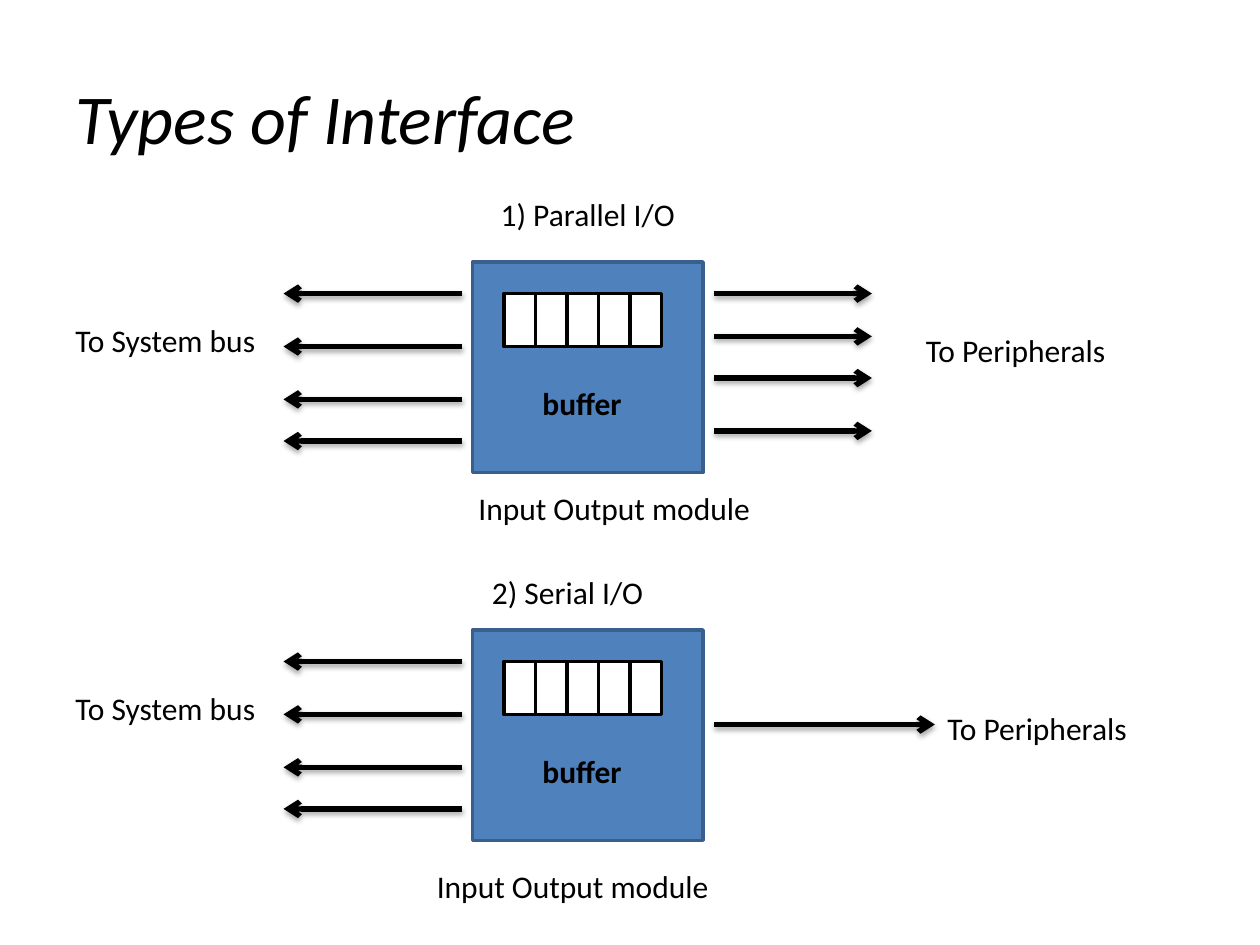
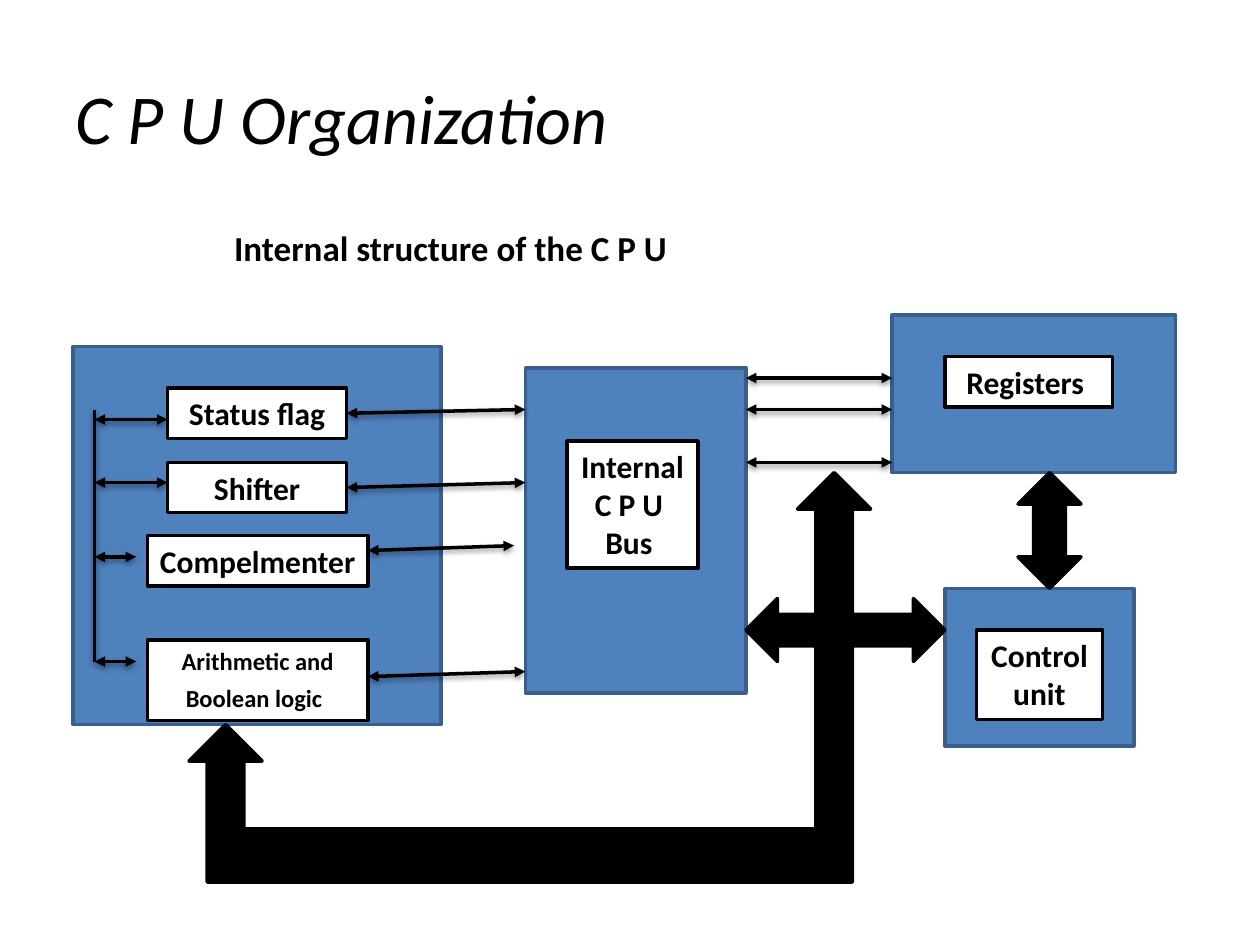
from lxml import etree
from pptx import Presentation
from pptx.dml.color import RGBColor
from pptx.enum.shapes import MSO_CONNECTOR, MSO_SHAPE
from pptx.enum.text import MSO_ANCHOR, PP_ALIGN
from pptx.oxml.ns import qn
from pptx.util import Inches, Pt

RECT = MSO_SHAPE.RECTANGLE
UP_ARROW = MSO_SHAPE.UP_ARROW
UP_DOWN_ARROW = MSO_SHAPE.UP_DOWN_ARROW
STRAIGHT = MSO_CONNECTOR.STRAIGHT
LEFT, CENTER = PP_ALIGN.LEFT, PP_ALIGN.CENTER
TOP, MIDDLE = MSO_ANCHOR.TOP, MSO_ANCHOR.MIDDLE
RIGHT_SIDE = 3

FONT = "Calibri"
BLACK, WHITE = "000000", "FFFFFF"
BLUE, BLUE_EDGE = "4F81BD", "3A5F8C"


def color(value):
    return RGBColor.from_string(value)


class Deck:
    def __init__(self):
        self.prs = Presentation()
        self.prs.slide_width = Inches(10)
        self.prs.slide_height = Inches(7.5)
        self.slide = None

    def new_slide(self, title):
        self.slide = self.prs.slides.add_slide(self.prs.slide_layouts[5])
        s = self.slide.shapes.title
        s.left, s.top = Inches(0.5), Inches(0.3)
        s.width, s.height = Inches(9), Inches(1.25)
        self.set_text(s, title, 40, align=LEFT, anchor=MIDDLE, italic=True)

    def set_text(self, s, text, size, align=LEFT, anchor=TOP, bold=False, italic=False):
        tf = s.text_frame
        tf.text = text
        tf.word_wrap = True
        tf.vertical_anchor = anchor
        for p in tf.paragraphs:
            p.alignment = align
            for r in p.runs:
                self.style(r, size, bold, italic)

    def style(self, r, size, bold=False, italic=False):
        r.font.name = FONT
        r.font.size = Pt(size)
        r.font.bold = bold
        r.font.italic = italic
        r.font.color.rgb = color(BLACK)

    def paint(self, s, fill, edge):
        s.fill.solid()
        s.fill.fore_color.rgb = color(fill)
        s.line.color.rgb = color(edge)
        s.line.width = Pt(2)

    def text(self, text, x, y, w, h=0.4, size=18, align=LEFT, bold=False):
        s = self.slide.shapes.add_textbox(Inches(x), Inches(y), Inches(w), Inches(h))
        self.set_text(s, text, size, align, bold=bold)
        return s

    def label(self, text, x, y, w, h=0.4, size=18):
        s = self.text(text, x, y, w, h, size, CENTER, True)
        self.paint(s, WHITE, BLACK)
        return s

    def shape(self, x, y, w, h, kind=RECT, fill=BLUE, edge=BLUE_EDGE, rotation=0):
        s = self.slide.shapes.add_shape(kind, Inches(x), Inches(y), Inches(w), Inches(h))
        s.shadow.inherit = False
        s.rotation = rotation
        self.paint(s, fill, edge)
        return s

    def line(self, x1, y1, x2, y2, width=2, head="triangle", tail="triangle", alpha=38):
        s = self.slide.shapes.add_connector(
            STRAIGHT, Inches(x1), Inches(y1), Inches(x2), Inches(y2))
        s.line.color.rgb = color(BLACK)
        s.line.width = Pt(width)
        ln = s.element.spPr.find(qn("a:ln"))
        for tag, end in (("a:headEnd", head), ("a:tailEnd", tail)):
            if end:
                etree.SubElement(ln, qn(tag), type=end)
        effects = etree.SubElement(s.element.spPr, qn("a:effectLst"))
        shadow = etree.SubElement(effects, qn("a:outerShdw"), blurRad=str(Pt(3.1)),
                                  dist=str(Pt(1.7)), dir="5400000", rotWithShape="0")
        shade = etree.SubElement(shadow, qn("a:srgbClr"), val=BLACK)
        etree.SubElement(shade, qn("a:alpha"), val=str(alpha * 1000))
        return s

    def signal(self, x1, x2, y):
        self.line(x1, y, x2, y, width=3, head=None, tail="arrow", alpha=35)


def io_module(deck, top):
    deck.shape(3.75, top, 1.83, 1.67)
    for offset in (0.25, 0.67, 1.09, 1.42):
        deck.signal(3.67, 2.25, top + offset)
    for i in range(5):
        deck.shape(4 + 0.25 * i, top + 0.25, 0.25, 0.42, fill=WHITE, edge=BLACK)
    deck.text("buffer", 4.08, top + 0.92, 1.08, align=CENTER, bold=True)
    deck.text("To System bus", 0.5, top + 0.42, 1.67)


def interface_slide(deck):
    deck.new_slide("Types of Interface")

    deck.text("1) Parallel I/O", 3.08, 1.5, 3.17, align=CENTER)
    io_module(deck, 2.08)
    for y in (2.33, 2.67, 3, 3.42):
        deck.signal(5.67, 6.92, y)
    deck.text("To Peripherals", 7.25, 2.58, 2)
    deck.text("Input Output module", 3, 3.83, 3.75, align=CENTER)

    deck.text("2) Serial I/O", 2.92, 4.5, 3.17, align=CENTER)
    io_module(deck, 5)
    deck.signal(5.67, 7.42, 5.75)
    deck.text("To Peripherals", 7.42, 5.58, 2)
    deck.text("Input Output module", 2.67, 6.83, 3.75, align=CENTER)


def cpu_slide(deck):
    deck.new_slide("C P U Organization")
    deck.text("Internal structure of the C P U", 1.76, 1.75, 5, size=20, bold=True)

    deck.shape(0.58, 2.75, 2.92, 3)
    status = deck.label("Status flag", 1.33, 3.08, 1.42)
    shifter = deck.label("Shifter", 1.33, 3.67, 1.42)
    deck.label("Compelmenter ", 1.17, 4.25, 1.75)
    logic = deck.label("Arithmetic and Boolean logic", 1.17, 5.08, 1.75, 0.64, 14)
    r = logic.text_frame.paragraphs[0].add_run()
    r.text = " "
    deck.style(r, 18, True)

    deck.shape(7.5, 4.67, 1.5, 1.25)
    deck.label("Control unit", 7.75, 5, 1, 0.71)
    deck.shape(7.08, 2.5, 2.25, 1.25)
    deck.label("Registers ", 7.5, 2.83, 1.33)
    deck.shape(4.17, 2.92, 1.75, 2.58)
    deck.label("Internal\nC P U \nBus ", 4.5, 3.5, 1.04, 1.01)

    for unit, y in ((status, 3.25), (shifter, 3.83)):
        deck.line(4.17, y, 2.75, y + 0.04).end_connect(unit, RIGHT_SIDE)
    for x, y in ((4.08, 4.33), (4.17, 5.33)):
        deck.line(x, y, 2.92, y + 0.04)
    for y in (3, 3.25, 3.67):
        deck.line(7.08, y, 5.92, y)

    deck.line(0.75, 3.25, 0.75, 5.25, head=None, tail=None)
    for x, y in ((1.33, 3.33), (1.33, 3.83), (1.08, 4.42), (1.08, 5.25)):
        deck.line(x, y, 0.75, y)

    for x, y, w, h, kind, rotation in (
        (8.08, 3.75, 0.5, 0.92, UP_DOWN_ARROW, 0),
        (6.46, 4.21, 0.5, 1.58, UP_DOWN_ARROW, 270),
        (6.33, 3.75, 0.58, 3.25, UP_ARROW, 0),
        (1.67, 6.58, 5.08, 0.42, RECT, 0),
        (1.5, 5.75, 0.58, 1.25, UP_ARROW, 0),
    ):
        deck.shape(x, y, w, h, kind, BLACK, BLACK, rotation)


def main():
    deck = Deck()
    interface_slide(deck)
    cpu_slide(deck)
    deck.prs.save("out.pptx")


if __name__ == "__main__":
    main()
